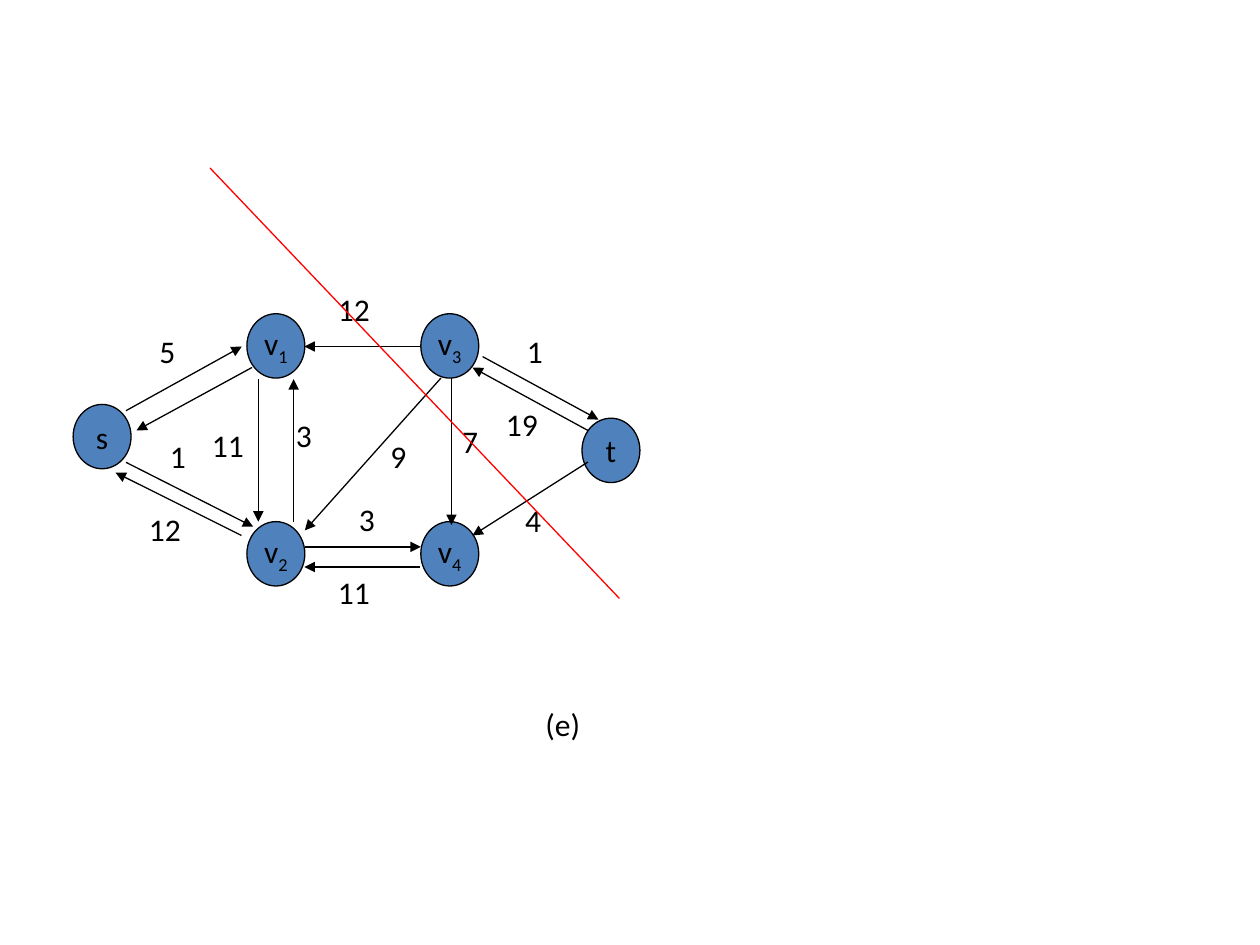
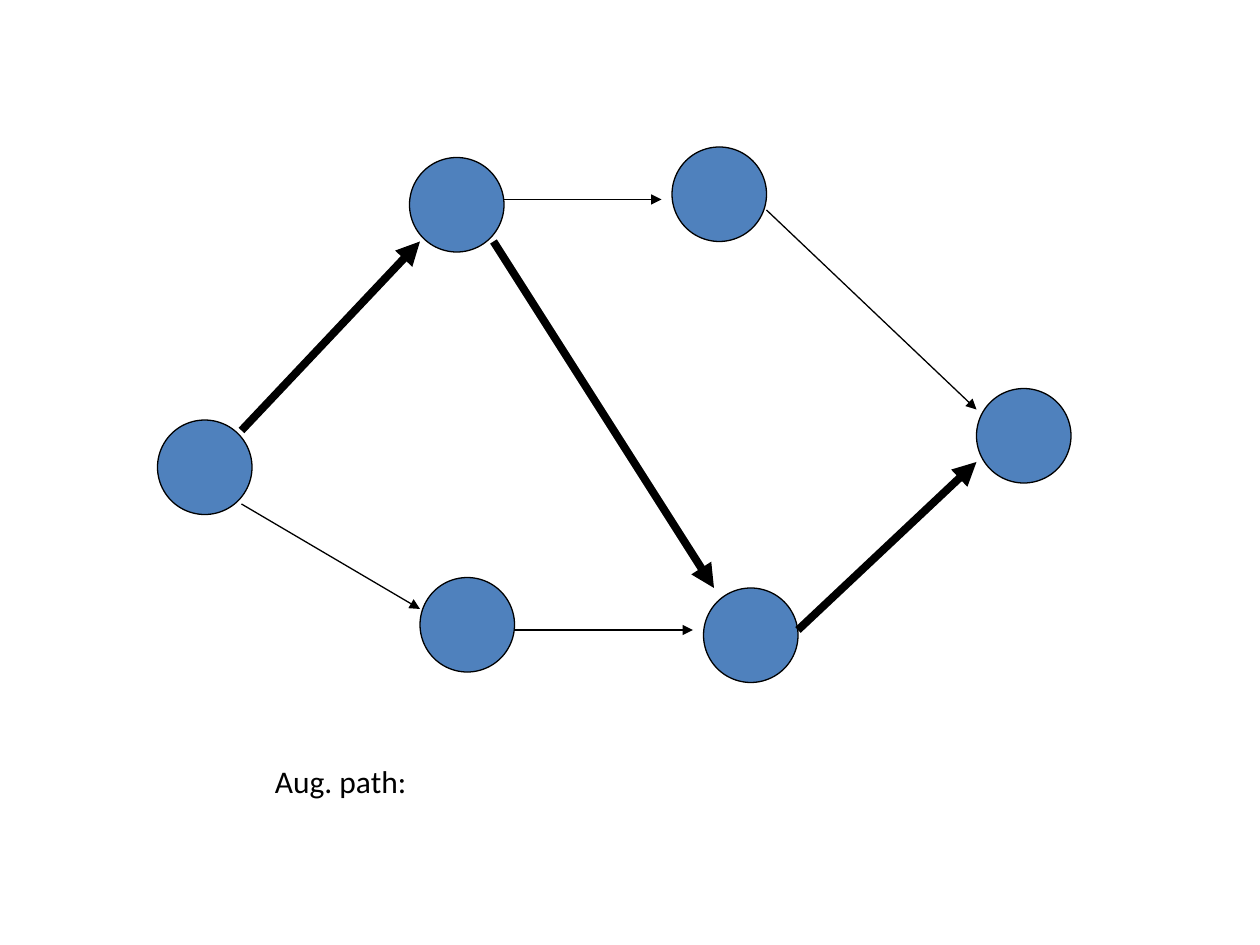
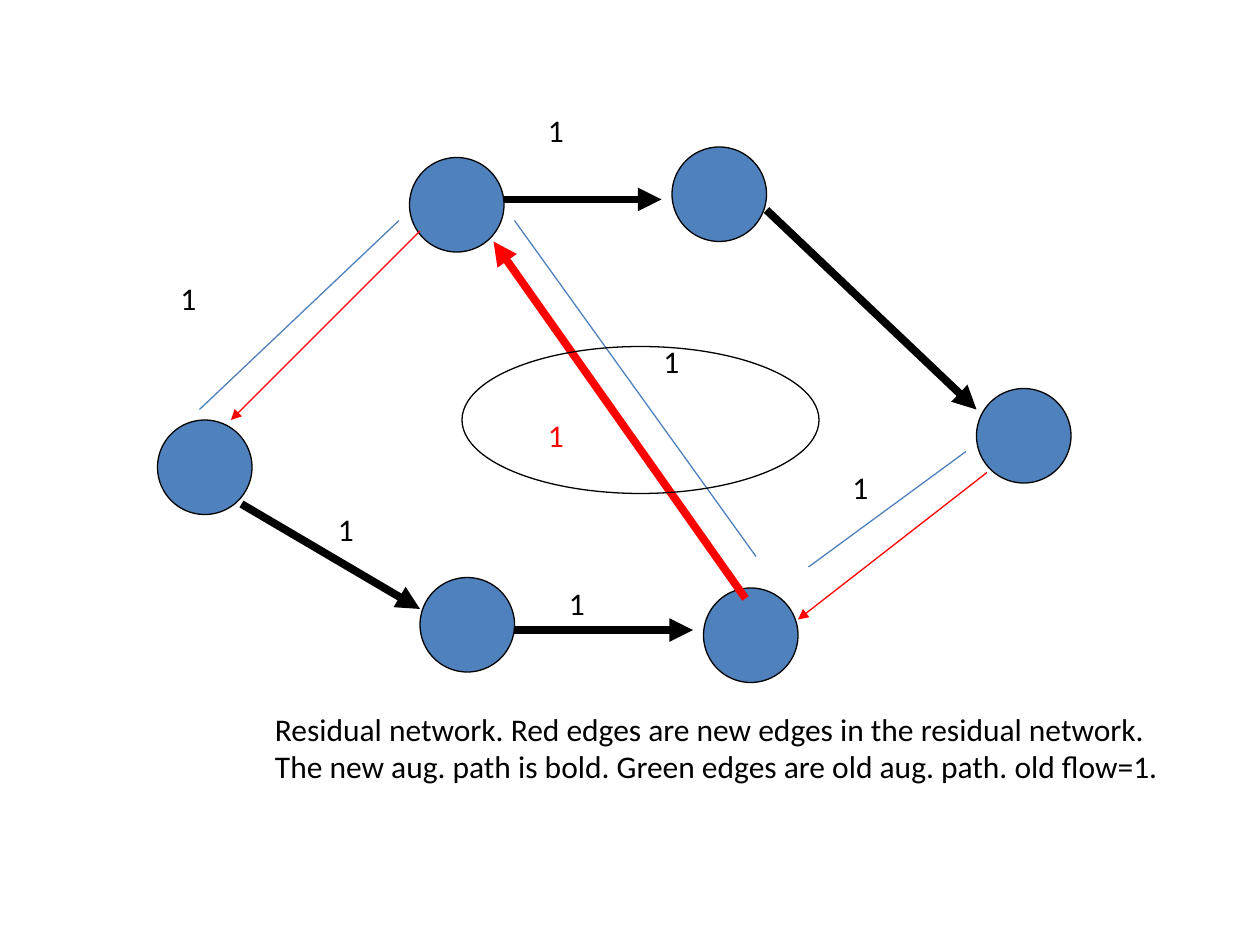
from lxml.etree import SubElement
from pptx import Presentation
from pptx.dml.color import RGBColor
from pptx.enum.shapes import MSO_CONNECTOR, MSO_SHAPE
from pptx.enum.text import MSO_ANCHOR, MSO_AUTO_SIZE, PP_ALIGN
from pptx.oxml.ns import qn
from pptx.util import Pt

BLACK = RGBColor(0x00, 0x00, 0x00)
RED = RGBColor(0xFF, 0x00, 0x00)
BLUE = RGBColor(0x4F, 0x81, 0xBD)
FONT = "Calibri"
FONT_SIZE = 18
THIN = 0.75
BOLD = 4.5
LABEL_HEIGHT = 36

FLOW_NODE_SIZE = (33.1, 36.8)
FLOW_NODES = [
    ("s", "", 41.8, 231.1),
    ("v", "1", 141.1, 179.3),
    ("v", "2", 141.1, 298.1),
    ("v", "3", 240.5, 179.3),
    ("v", "4", 240.5, 298.1),
    ("t", "", 332.6, 239),
]
FLOW_EDGES = [
    (72, 234.7, 138.2, 198),
    (144, 210, 78, 246),
    (72, 264.2, 144.7, 301),
    (138, 306, 66, 270),
    (147.6, 216.7, 147.6, 298.1),
    (167.8, 298.1, 167.8, 216.7),
    (240, 198, 174, 198),
    (252, 216, 174.2, 303.1),
    (258, 216, 258, 300),
    (174.2, 312.5, 240.5, 312.5),
    (240, 324, 174, 324),
    (275.8, 203.8, 342, 239.8),
    (336, 246, 270, 210),
    (336, 264, 270, 306),
]
CUT = (120, 96, 354, 342)
FLOW_LABEL_WIDTHS = {1: 26.6, 2: 38.2, 3: 41}
FLOW_LABELS = [
    ("5", 84, 186),
    ("12", 78, 288),
    ("12", 186, 162),
    ("11", 114, 240),
    ("3", 162, 234),
    ("1", 294, 186),
    ("4", 293, 283),
    ("11", 186, 324),
    ("9", 216, 246),
    ("3", 198, 282),
    ("1", 90, 246),
    ("19", 282, 228),
    ("7", 257, 237.6),
    ("(e)", 304.6, 399.6),
]

PATH_NODE_SIZE = (54, 54)
PATH_NODES = [(90, 240), (240, 330), (234, 90), (558, 222), (402, 336), (384, 84)]
OUTER_EDGES = [
    (138, 288, 240, 348),
    (288, 114, 378, 114),
    (294, 360, 396, 360),
    (438, 120, 558, 234),
]
AUGMENTING_EDGES = [
    (138, 246, 240, 138),
    (282, 138, 408, 336),
    (456, 360, 558, 264),
]
REVERSE_EDGES = [
    (240, 132, 132, 240, THIN),
    (426, 342, 282, 138, BOLD),
    (564, 270, 456, 354, THIN),
]
OLD_PATH_LINES = [
    (114, 234, 228, 126),
    (294, 126, 432, 318),
    (462, 324, 552, 258),
]
RESIDUAL_LABELS = [
    (96, 156, 42, BLACK),
    (372, 192, 42, BLACK),
    (480, 264, 48, BLACK),
    (186, 288, 30, BLACK),
    (318, 330, 36, BLACK),
    (306, 234, 48, RED),
    (306, 60, 60, BLACK),
]
HIGHLIGHT = (264, 198, 204, 84)
PATH_CAPTION = "Aug. path:"
RESIDUAL_CAPTION = (
    "Residual network. Red edges are new edges in the residual network. "
    "The new aug. path is bold. Green edges are old aug. path. old flow=1."
)


def set_font(paragraph, color=BLACK):
    paragraph.font.name = FONT
    paragraph.font.size = Pt(FONT_SIZE)
    paragraph.font.color.rgb = color


def add_ellipse(slide, left, top, width, height, fill=None):
    shape = slide.shapes.add_shape(
        MSO_SHAPE.OVAL, Pt(left), Pt(top), Pt(width), Pt(height)
    )
    shape.shadow.inherit = False
    if fill is None:
        shape.fill.background()
    else:
        shape.fill.solid()
        shape.fill.fore_color.rgb = fill
    shape.line.color.rgb = BLACK
    shape.line.width = Pt(THIN)
    return shape


def add_named_node(slide, name, subscript, left, top):
    frame = add_ellipse(slide, left, top, *FLOW_NODE_SIZE, BLUE).text_frame
    frame.word_wrap = False
    frame.vertical_anchor = MSO_ANCHOR.MIDDLE
    paragraph = frame.paragraphs[0]
    paragraph.alignment = PP_ALIGN.CENTER
    set_font(paragraph)
    paragraph.add_run().text = name
    if subscript:
        run = paragraph.add_run()
        run.text = subscript
        run.font._element.set("baseline", "-25000")


def add_line(slide, ends, color=BLACK, width=THIN, arrow=True):
    connector = slide.shapes.add_connector(
        MSO_CONNECTOR.STRAIGHT, *[Pt(value) for value in ends]
    )
    connector.line.color.rgb = color
    connector.line.width = Pt(width)
    properties = connector._element.spPr
    if arrow:
        SubElement(properties.find(qn("a:ln")), qn("a:tailEnd"), type="triangle")
    SubElement(properties, qn("a:effectLst"))


def add_text(slide, text, left, top, width, height=LABEL_HEIGHT, color=BLACK):
    box = slide.shapes.add_textbox(Pt(left), Pt(top), Pt(width), Pt(height))
    frame = box.text_frame
    frame.word_wrap = True
    frame.auto_size = MSO_AUTO_SIZE.SHAPE_TO_FIT_TEXT
    frame.text = text
    set_font(frame.paragraphs[0], color)


def add_path_network(slide, outer_width):
    for left, top in PATH_NODES:
        add_ellipse(slide, left, top, *PATH_NODE_SIZE, BLUE)
    for ends in OUTER_EDGES:
        add_line(slide, ends, width=outer_width)


def build_flow_slide(slide):
    for node in FLOW_NODES:
        add_named_node(slide, *node)
    for ends in FLOW_EDGES:
        add_line(slide, ends)
    for text, left, top in FLOW_LABELS:
        add_text(slide, text, left, top, FLOW_LABEL_WIDTHS[len(text)])
    add_line(slide, CUT, RED, arrow=False)


def build_path_slide(slide):
    add_path_network(slide, THIN)
    for ends in AUGMENTING_EDGES:
        add_line(slide, ends, width=BOLD)
    add_text(slide, PATH_CAPTION, 150, 432, 474)


def build_residual_slide(slide):
    add_path_network(slide, BOLD)
    for *ends, width in REVERSE_EDGES:
        add_line(slide, ends, RED, width)
    add_text(slide, RESIDUAL_CAPTION, 150, 402, 528, 93.6)
    for ends in OLD_PATH_LINES:
        add_line(slide, ends, BLUE, arrow=False)
    for left, top, width, color in RESIDUAL_LABELS:
        add_text(slide, "1", left, top, width, color=color)
    add_ellipse(slide, *HIGHLIGHT)


def main():
    presentation = Presentation()
    presentation.slide_width = Pt(720)
    presentation.slide_height = Pt(540)
    blank = presentation.slide_layouts[6]
    for build in (build_flow_slide, build_path_slide, build_residual_slide):
        build(presentation.slides.add_slide(blank))
    presentation.save("out.pptx")


if __name__ == "__main__":
    main()
